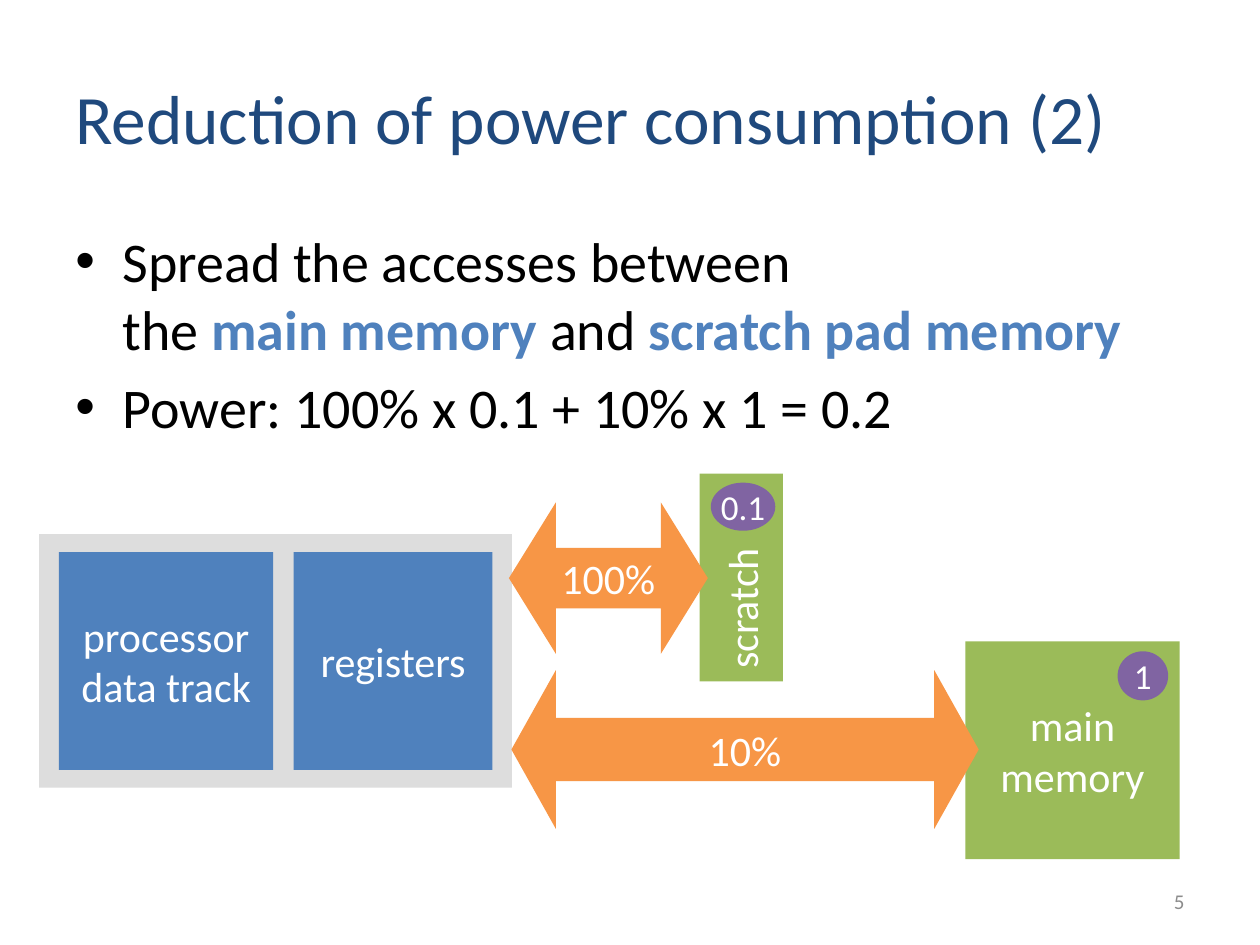
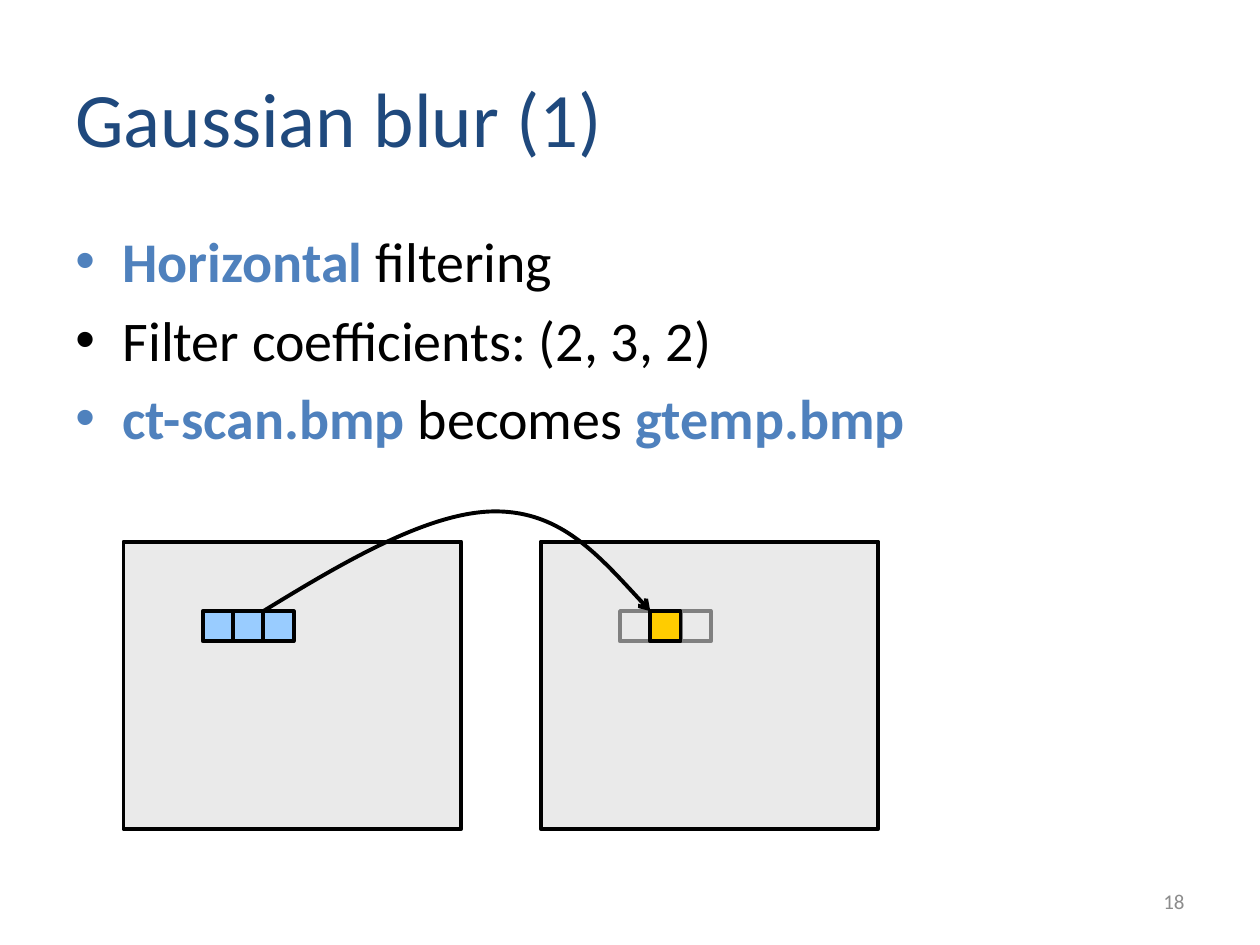
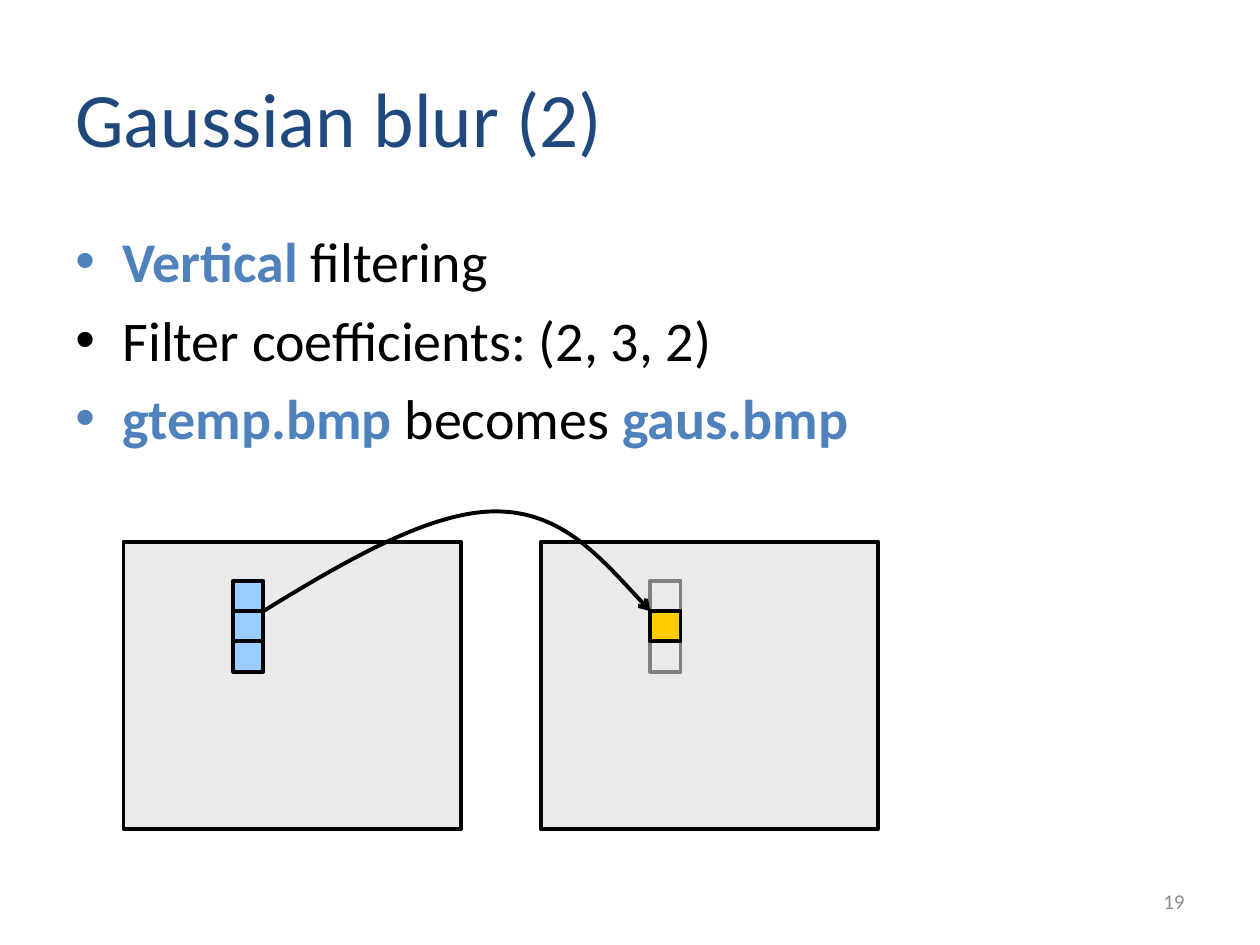
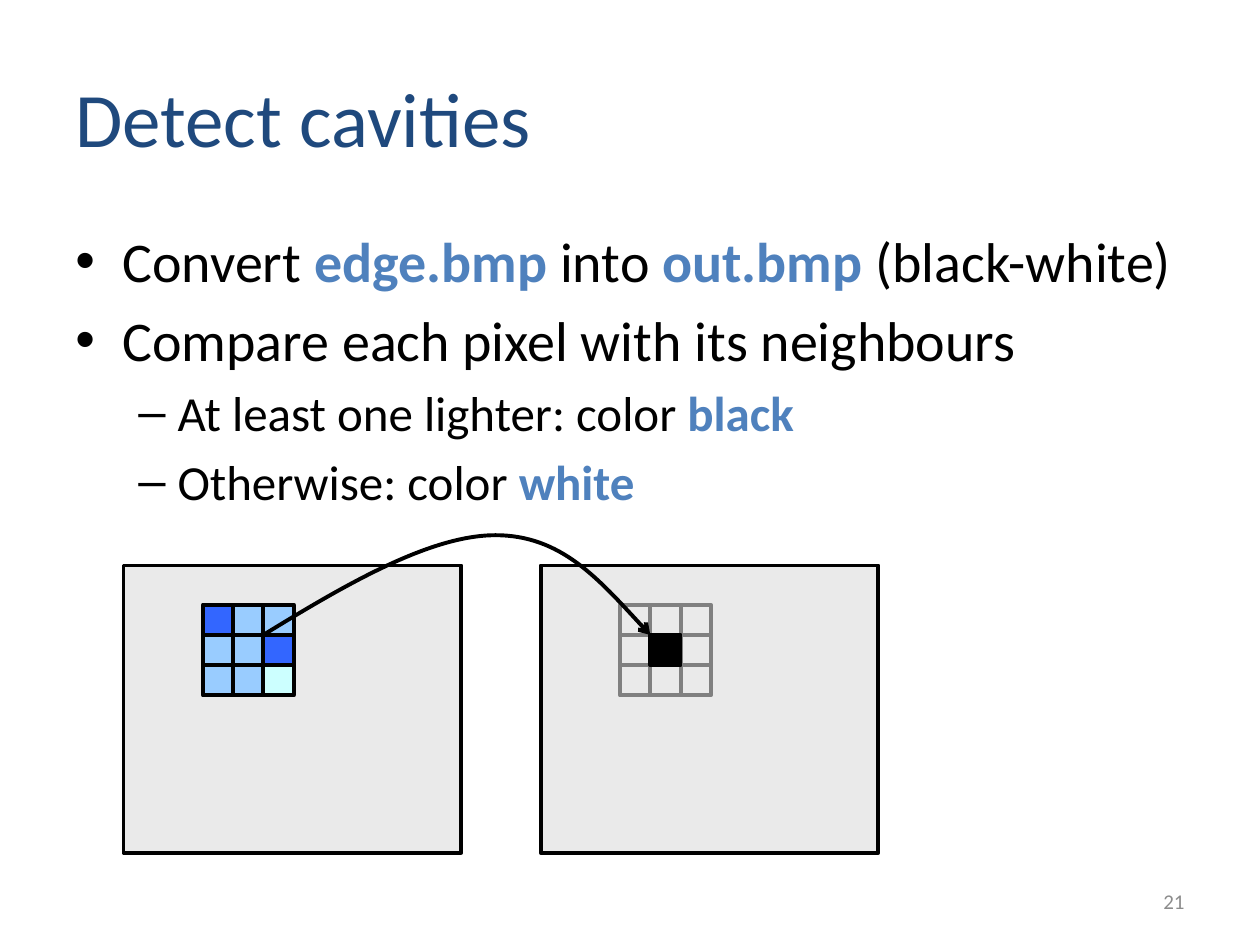
"""Build four slides on memory power use and image filters."""
import dataclasses

import lxml.etree
import pptx
import pptx.dml.color
import pptx.enum.shapes
import pptx.enum.text
import pptx.oxml.ns
import pptx.util

Cm = pptx.util.Cm
Pt = pptx.util.Pt
qn = pptx.oxml.ns.qn
SHAPE = pptx.enum.shapes.MSO_SHAPE
ALIGN = pptx.enum.text.PP_ALIGN
ANCHOR = pptx.enum.text.MSO_ANCHOR


@dataclasses.dataclass(frozen=True)
class Theme:
    """Hold the colours, font and type sizes of the deck."""
    font: str = "Calibri"
    title: str = "1F497D"
    ink: str = "000000"
    accent: str = "4F81BD"
    page: str = "8C8C8C"
    light: str = "FFFFFF"
    chip: str = "DDDDDD"
    store: str = "9BBB59"
    flow: str = "F79646"
    cost: str = "8064A2"
    frame: str = "EAEAEA"
    ghost: str = "808080"
    source: str = "99CCFF"
    dark: str = "3366FF"
    pale: str = "CCFFFF"
    target: str = "FFCC00"
    head: float = 44
    tight: float = 39.6
    body: tuple = (32, 28)
    label: float = 24
    badge: float = 20
    foot: float = 12
    line: float = 2.25


THEME = Theme()
LEVELS = (("•", 0.95, 0.95), ("–", 2.06, 0.79))
CELL = 0.61
LEFT = 2.49
SHIFT = 8.41
INSET = (2.21, 1.4)
RISE = 2.01
CURVE = ((0.21, 0.5), (0.43, 0), (0.6, 0), (0.77, 0), (0.88, 0.5), (1, 1))


def tint(colour):
    """Turn a hex string into a colour."""
    return pptx.dml.color.RGBColor.from_string(colour)


def add_run(para, text, size, colour, bold=False):
    """Add one styled run, breaking it at line ends."""
    for count, part in enumerate(text.split("\n")):
        if count:
            para.add_line_break()
        run = para.add_run()
        run.text = part
        run.font.name = THEME.font
        run.font.size = Pt(size)
        run.font.bold = bold
        run.font.color.rgb = tint(colour)


def add_paras(frame, count):
    """Return the given number of paragraphs in a frame."""
    return [frame.paragraphs[0]] + [frame.add_paragraph() for _ in range(count - 1)]


def add_box(slide, place, anchor):
    """Add a wrapping text box and return its frame."""
    frame = slide.shapes.add_textbox(*map(Cm, place)).text_frame
    frame.word_wrap = True
    frame.vertical_anchor = anchor
    return frame


def add_points(slide, points):
    """Add bullets from (level, text), with accents between asterisks."""
    frame = add_box(slide, (1.27, 4.45, 22.86, 12.57), ANCHOR.TOP)
    for para, (level, text) in zip(add_paras(frame, len(points)), points):
        mark, margin, hang = LEVELS[level]
        size = THEME.body[level]
        para.level = level
        para.space_before = Pt(size * 0.2)
        props = para._p.get_or_add_pPr()
        props.set("marL", str(Cm(margin)))
        props.set("indent", str(-Cm(hang)))
        lxml.etree.SubElement(props, qn("a:buFont")).set("typeface", "Arial")
        lxml.etree.SubElement(props, qn("a:buChar")).set("char", mark)
        for index, part in enumerate(text.split("*")):
            strong = index % 2 == 1
            if part:
                add_run(para, part, size, THEME.accent if strong else THEME.ink, strong)


def add_page(deck, title, number, points, size=THEME.head):
    """Add a slide with its title, bullets and page number."""
    slide = deck.slides.add_slide(deck.slide_layouts[6])
    frame = add_box(slide, (1.27, 0.76, 22.86, 3.18), ANCHOR.MIDDLE)
    add_run(frame.paragraphs[0], title, size, THEME.title)
    add_points(slide, points)
    frame = add_box(slide, (18.21, 17.65, 5.92, 1.02), ANCHOR.MIDDLE)
    frame.paragraphs[0].alignment = ALIGN.RIGHT
    add_run(frame.paragraphs[0], str(number), THEME.foot, THEME.page)
    return slide


def paint(shape, fill, line):
    """Give a shape its fill and line, either of which may be absent."""
    shape.shadow.inherit = False
    if fill:
        shape.fill.solid()
        shape.fill.fore_color.rgb = tint(fill)
    else:
        shape.fill.background()
    if line:
        shape.line.color.rgb = tint(line)
        shape.line.width = Pt(THEME.line)
    else:
        shape.line.fill.background()


def add_block(slide, place, fill, line=None, texts=(), kind=SHAPE.RECTANGLE,
              size=THEME.label, align=ALIGN.CENTER):
    """Add a painted preset shape with centred lines of text."""
    shape = slide.shapes.add_shape(kind, *map(Cm, place))
    paint(shape, fill, line)
    if texts:
        frame = shape.text_frame
        frame.vertical_anchor = ANCHOR.MIDDLE
        for para, text in zip(add_paras(frame, len(texts)), texts):
            para.alignment = align
            add_run(para, text, size, THEME.light)
    return shape


def add_flow(slide, place, text, head):
    """Add a double arrow that carries a share of the accesses."""
    arrow = add_block(slide, place, THEME.flow, None, (text,), SHAPE.LEFT_RIGHT_ARROW)
    arrow.adjustments[0] = 0.4
    arrow.adjustments[1] = head


def add_cost(slide, place, text):
    """Add an oval badge with the cost of one access."""
    badge = add_block(slide, place, THEME.cost, None, (text,), SHAPE.OVAL, THEME.badge)
    badge.text_frame.word_wrap = False


def add_curve(slide, start, end, top):
    """Add a curved arrow that rises to the given top."""
    spots = [(Cm(start[0] + across * (end[0] - start[0])),
              Cm(top + down * (end[1] - top))) for across, down in CURVE]
    pen = slide.shapes.build_freeform(Cm(start[0]), Cm(start[1]))
    pen.add_line_segments(spots, close=False)
    shape = pen.convert_to_shape()
    paint(shape, None, THEME.ink)
    route = shape.element.find(".//" + qn("a:path"))
    steps = route.findall(qn("a:lnTo"))
    for index in range(0, len(steps), 3):
        bend = lxml.etree.SubElement(route, qn("a:cubicBezTo"))
        for step in steps[index:index + 3]:
            bend.append(step[0])
            route.remove(step)
    edge = shape.line._get_or_add_ln()
    lxml.etree.SubElement(edge, qn("a:tailEnd")).set("type", "arrow")


def add_filter(slide, top, cells, result):
    """Draw a source and a target image with cells keyed by (column, row)."""
    left, row = LEFT + INSET[0], top + INSET[1]

    def add_cell(spot, shift, fill, line):
        """Add one pixel at its offset from the middle one."""
        add_block(slide, (left + shift + spot[0] * CELL, row + spot[1] * CELL,
                          CELL, CELL), fill, line)

    for shift in (0, SHIFT):
        add_block(slide, (LEFT + shift, top, 6.81, 5.79), THEME.frame, THEME.ink)
    for spot, fill in cells.items():
        add_cell(spot, 0, fill, THEME.ink)
    for spot in cells:
        if spot != (0, 0):
            add_cell(spot, SHIFT, None, THEME.ghost)
    add_cell((0, 0), SHIFT, result, THEME.ink)
    add_curve(slide, (left + CELL, row), (left + SHIFT, row), row - RISE)


def add_power(slide):
    """Draw the processor, both memories and the flows between them."""
    add_block(slide, (0.79, 10.77, 9.53, 5.11), THEME.chip)
    add_block(slide, (1.19, 11.13, 4.32, 4.39), THEME.accent,
              texts=("processor", "data track"))
    add_block(slide, (5.92, 11.13, 4.01, 4.39), THEME.accent, texts=("registers",))
    add_block(slide, (19.46, 12.93, 4.32, 4.39), THEME.store, texts=("main memory",))
    scratch = add_block(slide, (12.85, 10.8, 4.19, 1.68), THEME.store,
                        texts=("scratch",), align=ALIGN.LEFT)
    scratch.rotation = 270
    add_flow(slide, (10.31, 13.51, 9.42, 3.2), "10%", 0.28)
    add_flow(slide, (10.26, 10.13, 4.01, 3.05), "100%", 0.31)
    add_cost(slide, (22.53, 13.13, 1.02, 0.99), "1")
    add_cost(slide, (14.33, 9.73, 1.3, 0.97), "0.1")


def main():
    """Build and save the deck."""
    deck = pptx.Presentation()
    deck.slide_width, deck.slide_height = Cm(25.4), Cm(19.05)

    slide = add_page(deck, "Reduction of power consumption (2)", 5, (
        (0, "Spread the accesses between \nthe *main memory *and *scratch pad memory*"),
        (0, "Power: 100% x 0.1 + 10% x 1 = 0.2")), THEME.tight)
    add_power(slide)

    steps = range(-1, 2)
    blurs = (
        (18, "Horizontal", "ct-scan.bmp", "gtemp.bmp", [(step, 0) for step in steps]),
        (19, "Vertical", "gtemp.bmp", "gaus.bmp", [(0, step) for step in steps]))
    for count, (number, way, before, after, spots) in enumerate(blurs, 1):
        slide = add_page(deck, f"Gaussian blur ({count})", number, (
            (0, f"*{way}* filtering"),
            (0, "Filter coefficients: (2, 3, 2)"),
            (0, f"*{before}* becomes *{after}*")))
        add_filter(slide, 10.92, dict.fromkeys(spots, THEME.source), THEME.target)

    slide = add_page(deck, "Detect cavities", 21, (
        (0, "Convert *edge.bmp* into *out.bmp* (black-white)"),
        (0, "Compare each pixel with its neighbours"),
        (1, "At least one lighter: color *black*"),
        (1, "Otherwise: color *white*")))
    cells = {(col, row): THEME.source for row in steps for col in steps}
    cells.update({(-1, -1): THEME.dark, (1, 0): THEME.dark, (1, 1): THEME.pale})
    add_filter(slide, 11.4, cells, THEME.ink)

    deck.save("out.pptx")


if __name__ == "__main__":
    main()
